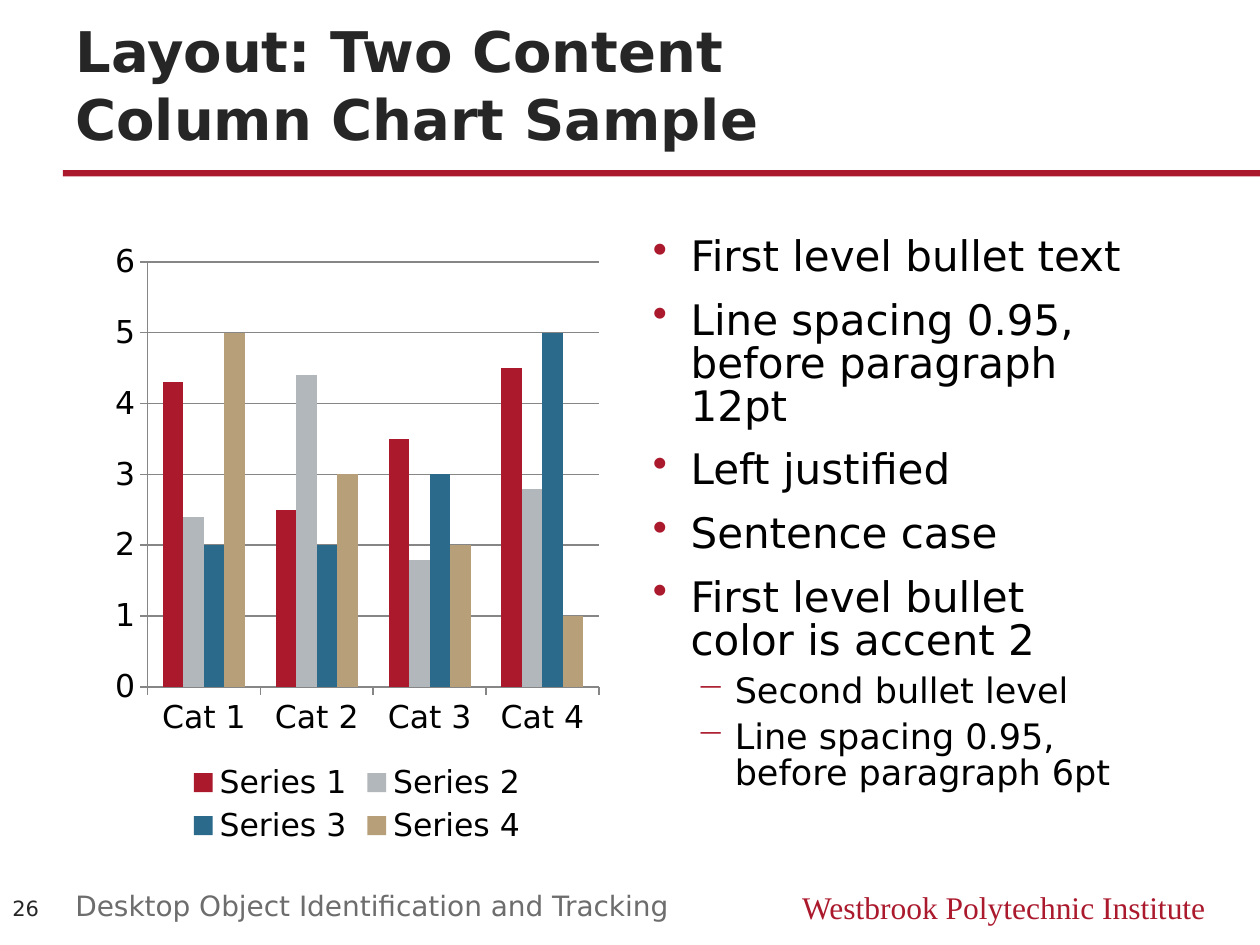
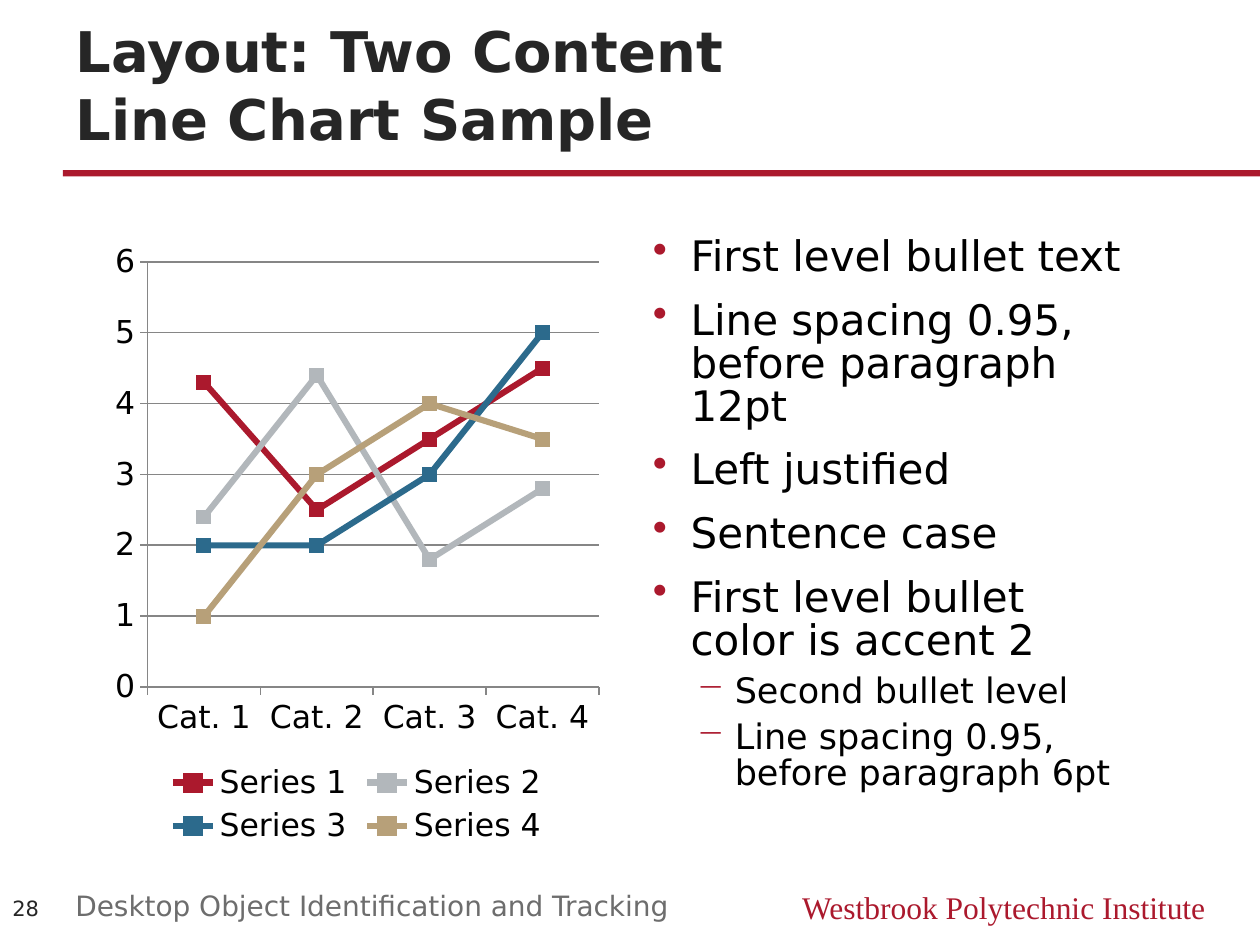
from pptx import Presentation
from pptx.chart.data import CategoryChartData as ChartData
from pptx.dml.color import RGBColor
from pptx.enum.chart import XL_CHART_TYPE as ChartType
from pptx.enum.chart import XL_LEGEND_POSITION as LegendPosition
from pptx.enum.chart import XL_MARKER_STYLE as MarkerStyle
from pptx.enum.chart import XL_TICK_MARK as TickMark
from pptx.enum.shapes import MSO_SHAPE as ShapeKind
from pptx.enum.text import MSO_ANCHOR as Anchor
from pptx.enum.text import PP_ALIGN as Align
from pptx.oxml.ns import qn
from pptx.util import Inches, Pt
from lxml.etree import SubElement

COLORS = {
    "accent": "AB192D", "silver": "B2B7BB", "blue": "2C6A8C", "tan": "B7A079",
    "heading": "262626", "body": "000000", "footer": "6D6D6D", "axis": "868686",
}
SERIES_COLORS = ["accent", "silver", "blue", "tan"]
SANS, SERIF = "DejaVu Sans", "Times New Roman"

# The slide is a grid of 120 columns and 90 rows; boxes are (left, top, width, height).
COLUMNS, ROWS = 120, 90
CELL = Inches(10) // COLUMNS
TITLE_BOX = (6, 4.5, 108, 10.5)
RULE_BOX = (6, 16.2, 114, 0.6)
CHART_BOX = (10, 22, 48, 59)
BULLETS_BOX = (61, 22, 48, 59)
NUMBER_BOX = (0, 83.9, 6, 5.1)
FOOTER_BOX = (6, 84, 67, 4)
INSTITUTE_BOX = (72, 84, 44, 4.8)

# Indent level and text of each bullet.
BULLETS = [
    (0, "First level bullet text"),
    (0, "Line spacing 0.95, before paragraph 12pt"),
    (0, "Left justified"),
    (0, "Sentence case"),
    (0, "First level bullet color is accent 2"),
    (1, "Second bullet level"),
    (1, "Line spacing 0.95, before paragraph 6pt"),
]
# Left margin (inches), text size, space before and bullet sign of each level.
LEVELS = [(0.3, 24, 12, "•"), (0.65, 20, 6, "─")]
HANGING = 0.3

FIRST_THREE = [[4.3, 2.5, 3.5, 4.5], [2.4, 4.4, 1.8, 2.8], [2, 2, 3, 5]]


def color_of(name):
    """Return the named colour."""
    return RGBColor.from_string(COLORS[name])


def place(box):
    """Turn a grid box into slide lengths."""
    return [round(cells * CELL) for cells in box]


def style_font(font, size, color, name=SANS, bold=False):
    """Set the face, size and colour of a font."""
    font.name, font.size, font.bold = name, Pt(size), bold
    font.color.rgb = color_of(color)


def add_text(slide, box, text, size, color, name=SANS, bold=False,
             anchor=Anchor.TOP, align=Align.LEFT):
    """Add a wrapping text box with one style throughout."""
    frame = slide.shapes.add_textbox(*place(box)).text_frame
    frame.word_wrap = True
    frame.vertical_anchor = anchor
    frame.text = text
    for paragraph in frame.paragraphs:
        paragraph.alignment = align
        for run in paragraph.runs:
            style_font(run.font, size, color, name, bold)


def add_rule(slide, box):
    """Add the accent band below the title."""
    shape = slide.shapes.add_shape(ShapeKind.RECTANGLE, *place(box))
    shape.shadow.inherit = False
    shape.fill.solid()
    shape.fill.fore_color.rgb = color_of("accent")
    shape.line.fill.background()


def add_bullets(slide, box):
    """Add the two-level bullet list."""
    frame = slide.shapes.add_textbox(*place(box)).text_frame
    frame.word_wrap = True
    frame.text = "\n".join(text for _, text in BULLETS)
    for paragraph, (level, _) in zip(frame.paragraphs, BULLETS):
        margin, size, before, sign = LEVELS[level]
        paragraph.level = level
        paragraph.line_spacing = 0.85
        paragraph.space_before = Pt(before)
        style_font(paragraph.runs[0].font, size, "body")
        properties = paragraph._p.get_or_add_pPr()
        properties.set("marL", str(Inches(margin)))
        properties.set("indent", str(-Inches(HANGING)))
        bullet_color = SubElement(properties, qn("a:buClr"))
        SubElement(bullet_color, qn("a:srgbClr"), val=COLORS["accent"])
        SubElement(properties, qn("a:buChar"), char=sign)


def style_axes(chart):
    """Give both axes outward ticks and the value axis its gridlines."""
    value_axis = chart.value_axis
    value_axis.minimum_scale, value_axis.maximum_scale = 0, 6
    value_axis.major_unit = 1
    value_axis.has_major_gridlines = True
    for axis in (chart.category_axis, value_axis):
        axis.major_tick_mark = TickMark.OUTSIDE
    for line in (chart.category_axis.format.line, value_axis.format.line,
                 value_axis.major_gridlines.format.line):
        line.color.rgb = color_of("axis")
        line.width = Pt(1)


def style_series(series, color, is_line):
    """Colour one series as a line with square markers or as columns."""
    fills = [series.format.fill]
    if is_line:
        series.smooth = False
        series.format.line.color.rgb = color_of(color)
        series.format.line.width = Pt(3.5)
        series.marker.style = MarkerStyle.SQUARE
        series.marker.size = 8
        series.marker.format.line.color.rgb = color_of(color)
        fills = [series.marker.format.fill]
    for fill in fills:
        fill.solid()
        fill.fore_color.rgb = color_of(color)


def add_sample_chart(slide, box, kind, prefix, rows):
    """Add a four-series chart with its legend at the bottom."""
    data = ChartData()
    data.categories = [f"{prefix} {number}" for number in range(1, 5)]
    for number, values in enumerate(rows, 1):
        data.add_series(f"Series {number}", values)
    chart = slide.shapes.add_chart(kind, *place(box), data).chart
    style_font(chart.font, 18, "body")
    chart.has_title = False
    chart.has_legend = True
    chart.legend.position = LegendPosition.BOTTOM
    chart.legend.include_in_layout = False
    style_axes(chart)
    plot = chart.plots[0]
    plot.vary_by_categories = False
    is_line = kind == ChartType.LINE_MARKERS
    if not is_line:
        plot.gap_width = 150
    for series, color in zip(plot.series, SERIES_COLORS):
        style_series(series, color, is_line)


def add_frame(slide, title, number):
    """Add what every slide shares: title, rule and footer line."""
    add_rule(slide, RULE_BOX)
    add_text(slide, INSTITUTE_BOX, "Westbrook Polytechnic Institute", 18, "accent",
             name=SERIF, align=Align.RIGHT)
    add_text(slide, TITLE_BOX, title, 32, "heading", bold=True, anchor=Anchor.BOTTOM)
    add_text(slide, NUMBER_BOX, str(number), 12, "heading", anchor=Anchor.MIDDLE)
    add_text(slide, FOOTER_BOX, "Desktop Object Identification and Tracking", 16, "footer")


def add_two_content_slide(presentation, number, subject, kind, prefix, last_row):
    """Add a slide with a chart on the left and bullets on the right."""
    slide = presentation.slides.add_slide(presentation.slide_layouts[6])
    add_frame(slide, f"Layout: Two Content\v{subject} Chart Sample", number)
    add_sample_chart(slide, CHART_BOX, kind, prefix, FIRST_THREE + [last_row])
    add_bullets(slide, BULLETS_BOX)


presentation = Presentation()
presentation.slide_width = COLUMNS * CELL
presentation.slide_height = ROWS * CELL
add_two_content_slide(presentation, 26, "Column", ChartType.COLUMN_CLUSTERED,
                      "Cat", [5, 3, 2, 1])
add_two_content_slide(presentation, 28, "Line", ChartType.LINE_MARKERS,
                      "Cat.", [1, 3, 4, 3.5])
presentation.save("out.pptx")
